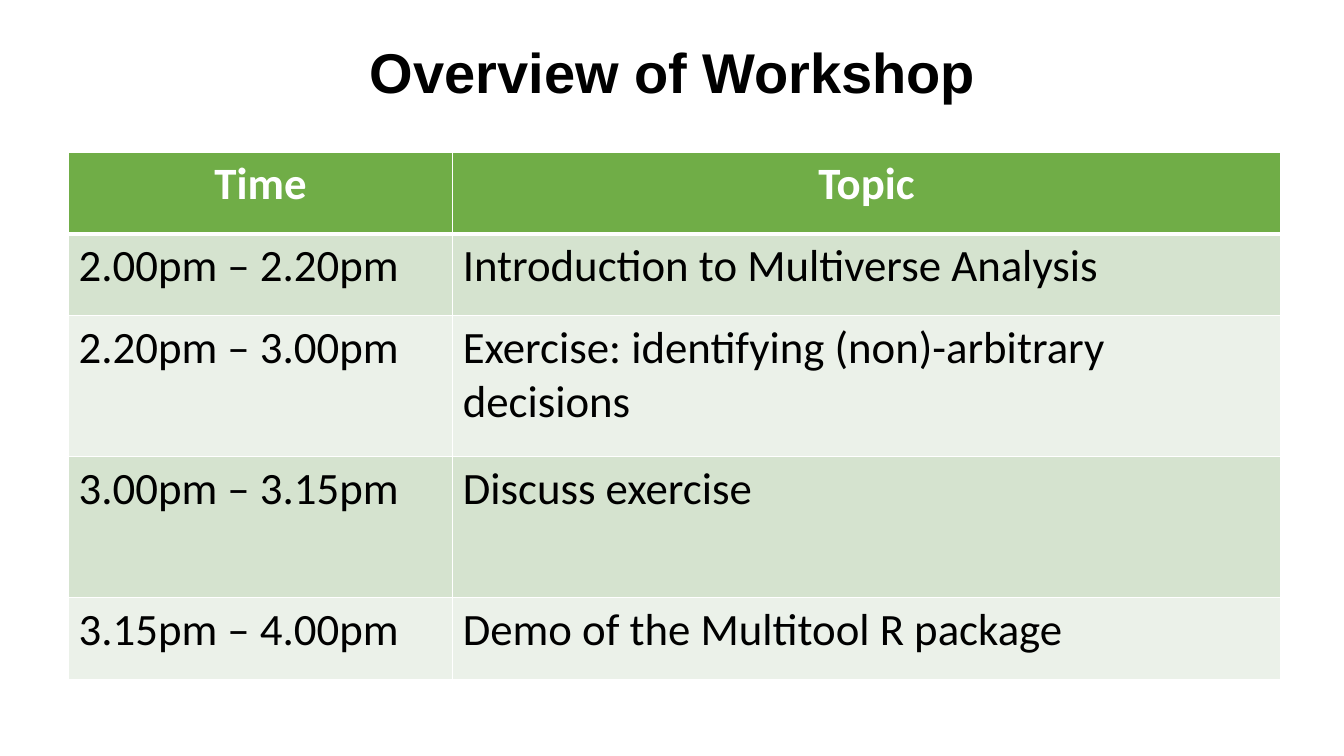
from lxml.etree import SubElement
from pptx import Presentation
from pptx.dml.color import RGBColor
from pptx.enum.text import MSO_ANCHOR, PP_ALIGN
from pptx.oxml.ns import qn
from pptx.util import Inches, Pt

TITLE = "Overview of Workshop"
ROWS = [
    ("Time", "Topic"),
    ("2.00pm – 2.20pm", "Introduction to Multiverse Analysis"),
    ("2.20pm – 3.00pm", "Exercise: identifying (non)-arbitrary decisions"),
    ("3.00pm – 3.15pm", "Discuss exercise"),
    ("3.15pm – 4.00pm", "Demo of the Multitool R package"),
]
WIDTHS = [3.81, 8.21]
HEIGHTS = [0.81, 0.81, 1.4, 1.4, 0.81]

BLACK = RGBColor(0x00, 0x00, 0x00)
WHITE = RGBColor(0xFF, 0xFF, 0xFF)
GREEN = RGBColor(0x70, 0xAD, 0x47)
BANDS = [RGBColor(0xEB, 0xF1, 0xE9), RGBColor(0xD5, 0xE3, 0xCF)]

TITLE_FONT = {"name": "Arial", "size": Pt(40), "bold": True}
HEAD_FONT = {"name": "Calibri", "size": Pt(32), "bold": True}
BODY_FONT = {**HEAD_FONT, "bold": False}


def style(para, font, color, align):
    para.alignment = align
    for key, value in font.items():
        setattr(para.runs[0].font, key, value)
    para.runs[0].font.color.rgb = color


def border(cell, widths):
    """Draw white cell edges; widths maps an edge tag to points."""
    props = cell._tc.get_or_add_tcPr()
    for tag, width in widths.items():
        line = SubElement(props, qn(f"a:{tag}"), w=str(Pt(width)))
        fill = SubElement(line, qn("a:solidFill"))
        SubElement(fill, qn("a:srgbClr"), val=str(WHITE))


def add_title(slide):
    title = slide.shapes.title
    title.left, title.top = Inches(0.92), Inches(0.4)
    title.width, title.height = Inches(11.5), Inches(1.45)
    frame = title.text_frame
    frame.text = TITLE
    frame.word_wrap = True
    frame.vertical_anchor = MSO_ANCHOR.TOP
    para = frame.paragraphs[0]
    para.line_spacing = 0.9
    style(para, TITLE_FONT, BLACK, PP_ALIGN.CENTER)


def add_agenda(slide):
    table = slide.shapes.add_table(
        len(ROWS), len(WIDTHS), Inches(0.68), Inches(1.51),
        Inches(sum(WIDTHS)), Inches(sum(HEIGHTS))).table
    for col, width in zip(table.columns, WIDTHS):
        col.width = Inches(width)
    for row, height in zip(table.rows, HEIGHTS):
        row.height = Inches(height)
    for r, texts in enumerate(ROWS):
        head = r == 0
        for c, text in enumerate(texts):
            cell = table.cell(r, c)
            cell.text = text
            border(cell, {"lnL": 1, "lnR": 1, "lnT": 3 if r == 1 else 1,
                          "lnB": 3 if head else 1})
            cell.fill.solid()
            cell.fill.fore_color.rgb = GREEN if head else BANDS[r % 2]
            style(cell.text_frame.paragraphs[0],
                  HEAD_FONT if head else BODY_FONT,
                  WHITE if head else BLACK,
                  PP_ALIGN.CENTER if head else PP_ALIGN.LEFT)


def main():
    deck = Presentation()
    deck.slide_width, deck.slide_height = Inches(13.33), Inches(7.5)
    slide = deck.slides.add_slide(deck.slide_layouts.get_by_name("Title Only"))
    add_title(slide)
    add_agenda(slide)
    deck.save("out.pptx")


if __name__ == "__main__":
    main()
